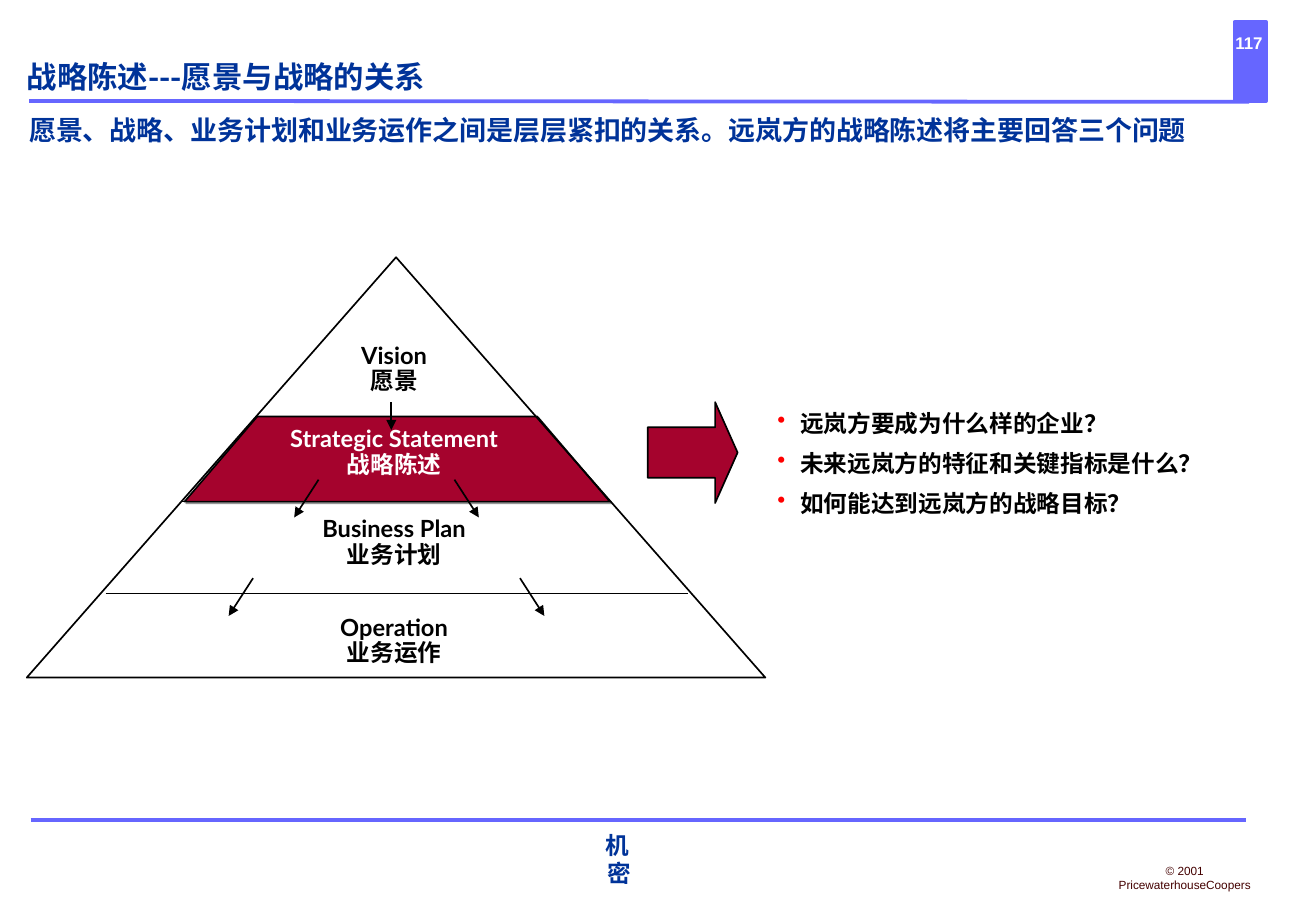
from lxml import etree
from pptx import Presentation
from pptx.dml.color import RGBColor
from pptx.enum.shapes import MSO_CONNECTOR, MSO_SHAPE
from pptx.enum.text import MSO_ANCHOR, PP_ALIGN
from pptx.oxml.ns import qn
from pptx.util import Cm, Pt

LINE = MSO_CONNECTOR.STRAIGHT
RECT = MSO_SHAPE.RECTANGLE
CONE = MSO_SHAPE.ISOSCELES_TRIANGLE
ARROW = MSO_SHAPE.RIGHT_ARROW
LEFT, CENTER = PP_ALIGN.LEFT, PP_ALIGN.CENTER
MIDDLE, BOTTOM = MSO_ANCHOR.MIDDLE, MSO_ANCHOR.BOTTOM

COLORS = {
    "navy": "003399", "violet": "6666FF", "crimson": "A5032D",
    "black": "000000", "white": "FFFFFF", "brown": "440000",
    "red": "FF0000", "gray": "969696",
}
FONT, HAN = "Lato", "Noto Sans CJK SC"


def rgb(name):
    return RGBColor.from_string(COLORS[name])


def node(parent, tag, **attrs):
    """Append a DrawingML child and return it."""
    child = etree.SubElement(parent, qn("a:" + tag))
    for key, value in attrs.items():
        child.set(key, str(value))
    return child


class Page:
    """Holds the slide and draws elements on it; lengths are in cm."""

    def __init__(self, slide):
        self.slide = slide
        self.shapes = slide.shapes

    def paint(self, shape, fill, line, width):
        shape.shadow.inherit = False
        if fill:
            shape.fill.solid()
            shape.fill.fore_color.rgb = rgb(fill)
        else:
            shape.fill.background()
        shape.line.color.rgb = rgb(line)
        shape.line.width = Pt(width)
        return shape

    def shape(self, kind, box, fill=None, line="black", width=1, adjust=()):
        item = self.shapes.add_shape(kind, *map(Cm, box))
        for i, value in enumerate(adjust):
            item.adjustments[i] = value
        return self.paint(item, fill, line, width)

    def band(self, points, fill):
        """Draw a closed outline with a small drop shadow."""
        first, *rest = [(Cm(x), Cm(y)) for x, y in points]
        build = self.shapes.build_freeform(*first)
        build.add_line_segments(rest, close=True)
        item = self.paint(build.convert_to_shape(), fill, "black", 1)
        effects = item._element.spPr.find(qn("a:effectLst"))
        shadow = node(effects, "outerShdw", dist=Pt(1.4), dir=45 * 60000,
                      algn="ctr", rotWithShape=0)
        node(shadow, "srgbClr", val=COLORS["gray"])

    def line(self, start, end, color="black", width=1.0, head=False):
        item = self.shapes.add_connector(LINE, *map(Cm, start + end))
        item.line.color.rgb = rgb(color)
        item.line.width = Pt(width)
        if head:
            node(item.line._get_or_add_ln(), "tailEnd", type="triangle")
        node(item._element.spPr, "effectLst")

    def run(self, para, text, size, color, font=FONT, bold=True, gap=0):
        run = para.add_run()
        run.text = text
        run.font.size = Pt(size)
        run.font.bold = bold
        run.font.color.rgb = rgb(color)
        run.font.name = font
        props = run._r.get_or_add_rPr()
        node(props, "ea", typeface=font)
        if gap:
            props.set("spc", str(gap * 100))

    def frame(self, box, align=CENTER, anchor=MIDDLE, wrap=False, inset=True):
        """Add a text box and return a maker of its paragraphs."""
        text = self.shapes.add_textbox(*map(Cm, box)).text_frame
        text.word_wrap = wrap
        text.vertical_anchor = anchor
        if not inset:
            text.margin_left = text.margin_right = 0
            text.margin_top = text.margin_bottom = 0
        unused = [text.paragraphs[0]]

        def add():
            para = unused.pop() if unused else text.add_paragraph()
            para.alignment = align
            return para
        return add

    def label(self, box, lines, color):
        add = self.frame(box)
        for words in lines:
            para = add()
            para.line_spacing = 0.9
            self.run(para, words, 14, color)

    def bullets(self, box, items):
        add = self.frame(box, LEFT, wrap=True)
        for i, words in enumerate(items):
            para = add()
            props = para._p.get_or_add_pPr()
            props.set("marL", str(Cm(0.48)))
            props.set("indent", str(-Cm(0.48)))
            node(node(props, "buClr"), "srgbClr", val=COLORS["red"])
            node(props, "buChar", char="•")
            if i:
                para.space_before = Pt(7)
            self.run(para, words, 14, "black")


def header(page):
    page.shape(RECT, (25.81, 0.46, 0.66, 1.65), "violet", "violet", 2.25)
    page.line((0.61, 2.11), (26.11, 2.13), "violet", 2.25)
    add = page.frame((25.22, 0.64, 1.78, 0.51), inset=False)
    page.run(add(), "117", 10, "white", "Arial")
    add = page.frame((0.56, 0.46, 24.66, 1.52), LEFT, BOTTOM, True, False)
    page.run(add(), "战略陈述---愿景与战略的关系", 18, "navy", HAN)
    add = page.frame((0.61, 2.16, 25.81, 0.89), LEFT, BOTTOM, True, False)
    page.run(add(), "愿景、战略、业务计划和业务运作之间是层层紧扣的关系。"
             "远岚方的战略陈述将主要回答三个问题", 16, "navy")


def footer(page):
    page.line((0.64, 17.15), (26.04, 17.15), "violet", 2.25)
    para = page.frame((12.04, 17.53, 1.83, 0.86))()
    page.run(para, "机 ", 14, "navy", "Arial", gap=3)
    page.run(para, "密", 14, "navy", "Arial")
    add = page.frame((22.71, 18.08, 4.11, 0.56))
    page.run(add(), "© 2001 PricewaterhouseCoopers", 7, "brown", "Arial", False)


def pyramid(page):
    page.band([(3.86, 10.49), (12.75, 10.49), (11.23, 8.71), (5.38, 8.71)],
              "crimson")
    page.shape(CONE, (0.56, 5.38, 15.44, 8.79))
    for left, right, y in ((5.41, 11.2, 8.71), (3.78, 12.67, 10.49),
                           (2.21, 14.38, 12.4)):
        page.line((left, y), (right, y), width=0.25)

    levels = (
        (7.06, "Vision", "愿景", "black"),
        (8.81, "Strategic Statement", "战略陈述", "white"),
        (10.69, "Business Plan", "业务计划", "black"),
        (12.75, "Operation", "业务运作", "black"),
    )
    width, middle = 5.5, 8.24
    for top, english, chinese, color in levels:
        page.label((middle - width / 2, top, width, 1.32),
                   (english, chinese), color)

    page.line((8.18, 8.41), (8.18, 8.99), head=True)
    axis = 8.08
    for reach, top in ((1.42, 10.03), (2.79, 12.09)):
        for side in (-1, 1):
            page.line((axis + side * reach, top),
                      (axis + side * (reach + 0.51), top + 0.79), head=True)


def answer(page):
    page.shape(ARROW, (13.54, 8.41, 1.88, 2.11), "crimson", adjust=(0.5, 0.25))
    page.bullets((16, 8.41, 9.78, 2.54), (
        "远岚方要成为什么样的企业？",
        "未来远岚方的特征和关键指标是什么？",
        "如何能达到远岚方的战略目标？",
    ))


def main():
    deck = Presentation()
    deck.slide_width, deck.slide_height = Cm(27.51), Cm(19.05)
    page = Page(deck.slides.add_slide(deck.slide_layouts[6]))
    for draw in (header, footer, pyramid, answer):
        draw(page)
    deck.save("out.pptx")


if __name__ == "__main__":
    main()
